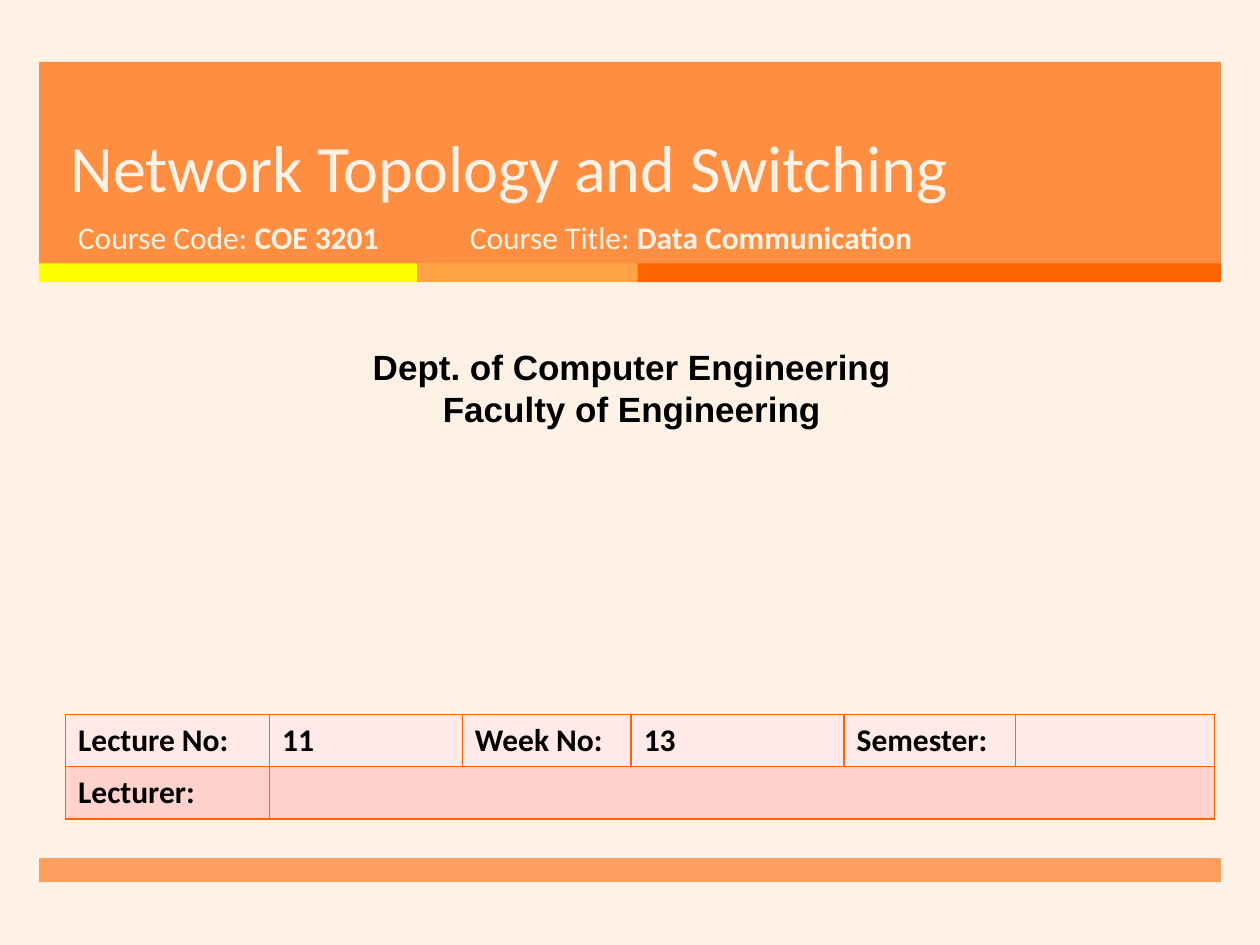
from lxml import etree
from pptx import Presentation
from pptx.dml.color import RGBColor
from pptx.enum.shapes import MSO_SHAPE
from pptx.enum.text import MSO_ANCHOR, PP_ALIGN
from pptx.oxml.ns import qn
from pptx.util import Inches, Pt

RECTANGLE = MSO_SHAPE.RECTANGLE
TOP, MIDDLE, BOTTOM = MSO_ANCHOR.TOP, MSO_ANCHOR.MIDDLE, MSO_ANCHOR.BOTTOM
LEFT, CENTER = PP_ALIGN.LEFT, PP_ALIGN.CENTER

CREAM, ORANGE, DEEP_ORANGE, BLACK = "FEF2E6", "FF7D26", "FF6600", "000000"
STRIPES = [("FFFF00", 3), ("FFA347", 1.75), (DEEP_ORANGE, 4.63)]
COLUMN_WIDTHS = [1.62, 1.53, 1.34, 1.69, 1.36, 1.58]
LECTURE_ROWS = [
    ("FFEAE7", ["Lecture No:", "11", "Week No:", "13", "Semester:", ""]),
    ("FFD3CC", ["Lecturer:", "", "", "", "", ""]),
]


def rgb(color):
    return RGBColor.from_string(color)


def style(run, size, color, bold=False, font="Calibri"):
    run.font.size = Pt(size)
    run.font.name = font
    run.font.bold = bold
    run.font.color.rgb = rgb(color)


def add_bar(slide, left, top, width, height, color, opacity=100):
    bar = slide.shapes.add_shape(
        RECTANGLE, Inches(left), Inches(top), Inches(width), Inches(height))
    bar.shadow.inherit = False
    bar.line.fill.background()
    bar.fill.solid()
    bar.fill.fore_color.rgb = rgb(color)
    if opacity < 100:
        tint = bar.fill._xPr.find(".//" + qn("a:srgbClr"))
        etree.SubElement(tint, qn("a:alpha"), val=str(opacity * 1000))


def add_text(slide, left, top, width, height, lines, size, color,
             font="Calibri", anchor=TOP, align=LEFT, spacing=None):
    box = slide.shapes.add_textbox(
        Inches(left), Inches(top), Inches(width), Inches(height))
    frame = box.text_frame
    frame.word_wrap = True
    frame.vertical_anchor = anchor
    for index, line in enumerate(lines):
        paragraph = frame.add_paragraph() if index else frame.paragraphs[0]
        paragraph.alignment = align
        if spacing:
            paragraph.line_spacing = Pt(spacing)
        for text, bold in line:
            run = paragraph.add_run()
            run.text = text
            style(run, size, color, bold, font)


def add_banner(slide, left, top, width, height):
    add_bar(slide, left, top, width, height, ORANGE, 85)
    stripe_left = left
    for color, stripe_width in STRIPES:
        add_bar(slide, stripe_left, top + height - 0.01, stripe_width, 0.15, color)
        stripe_left += stripe_width
    add_text(slide, left + 0.15, top, 7.72, 1.19,
             [[("Network Topology and Switching", False)]], 37.8, CREAM,
             anchor=BOTTOM, spacing=46)
    courses = [(0.21, 3.05, "Course Code: ", "COE 3201"),
               (3.32, 4.55, "Course Title: ", "Data Communication")]
    for offset, course_width, label, value in courses:
        add_text(slide, left + offset, top + 1.19, course_width, 0.53,
                 [[(label, False), (value, True)]], 18, CREAM)


def add_department(slide, left, top, width, height):
    lines = [[("Dept. of Computer Engineering", True)],
             [("Faculty of Engineering", True)]]
    add_text(slide, left, top, width, height, lines, 20, BLACK,
             font="Arial", align=CENTER)


def add_borders(cell):
    properties = cell._tc.get_or_add_tcPr()
    for index, side in enumerate(("a:lnL", "a:lnR", "a:lnT", "a:lnB")):
        border = etree.Element(qn(side), w=str(Pt(1)))
        fill = etree.SubElement(border, qn("a:solidFill"))
        etree.SubElement(fill, qn("a:srgbClr"), val=DEEP_ORANGE)
        properties.insert(index, border)


def add_lecture_table(slide, left, top, width, height):
    table = slide.shapes.add_table(
        len(LECTURE_ROWS), len(COLUMN_WIDTHS),
        Inches(left), Inches(top), Inches(width), Inches(height)).table
    for column, column_width in zip(table.columns, COLUMN_WIDTHS):
        column.width = Inches(column_width)
    for row, (color, texts) in enumerate(LECTURE_ROWS):
        for column, text in enumerate(texts):
            cell = table.cell(row, column)
            cell.fill.solid()
            cell.fill.fore_color.rgb = rgb(color)
            cell.vertical_anchor = MIDDLE
            add_borders(cell)
            cell.text_frame.text = text
            for run in cell.text_frame.paragraphs[0].runs:
                style(run, 18, BLACK, True)
    table.cell(1, 1).merge(table.cell(1, len(COLUMN_WIDTHS) - 1))


def main():
    deck = Presentation()
    deck.slide_width, deck.slide_height = Inches(10), Inches(7.5)
    slide = deck.slides.add_slide(deck.slide_layouts[6])
    slide.background.fill.solid()
    slide.background.fill.fore_color.rgb = rgb(CREAM)
    add_banner(slide, 0.31, 0.49, 9.38, 1.61)
    add_department(slide, 0.08, 2.69, 9.87, 0.77)
    add_lecture_table(slide, 0.52, 5.67, sum(COLUMN_WIDTHS), 0.83)
    add_bar(slide, 0.31, 6.81, 9.38, 0.19, ORANGE, 70)
    deck.save("out.pptx")


if __name__ == "__main__":
    main()
